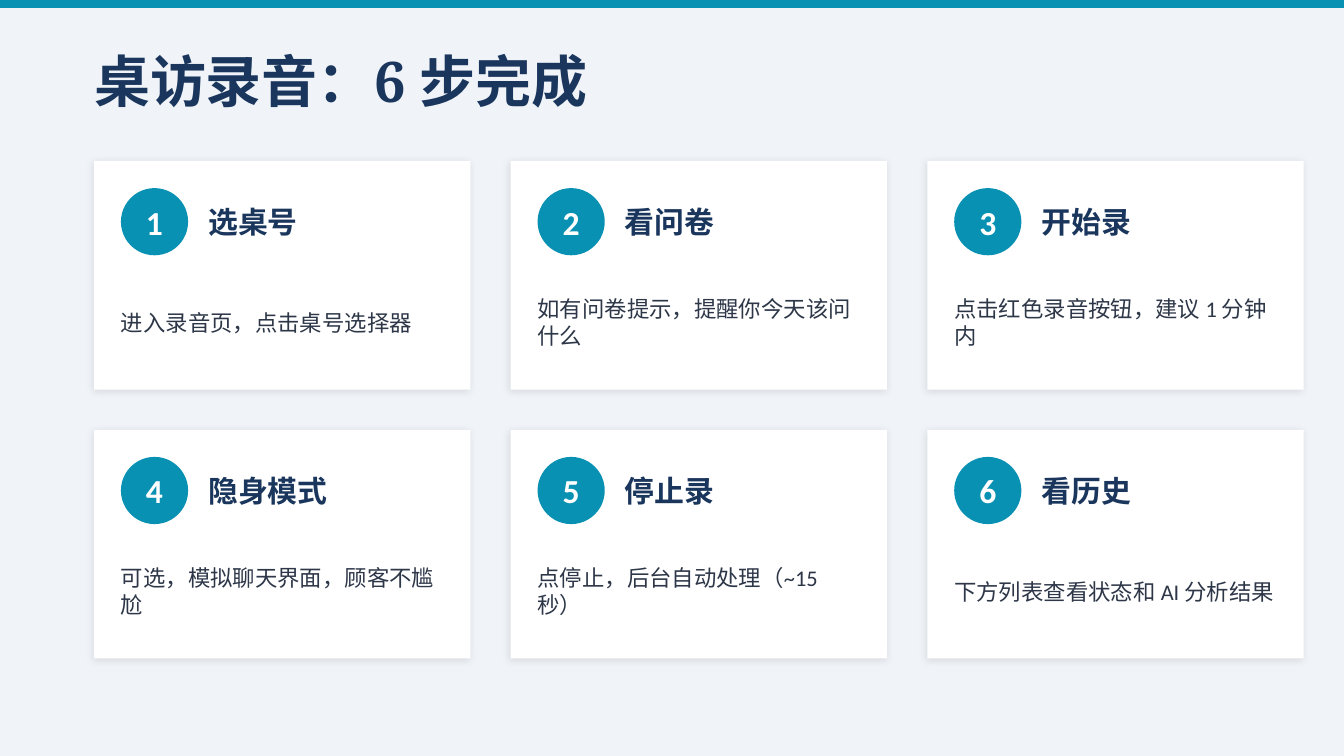
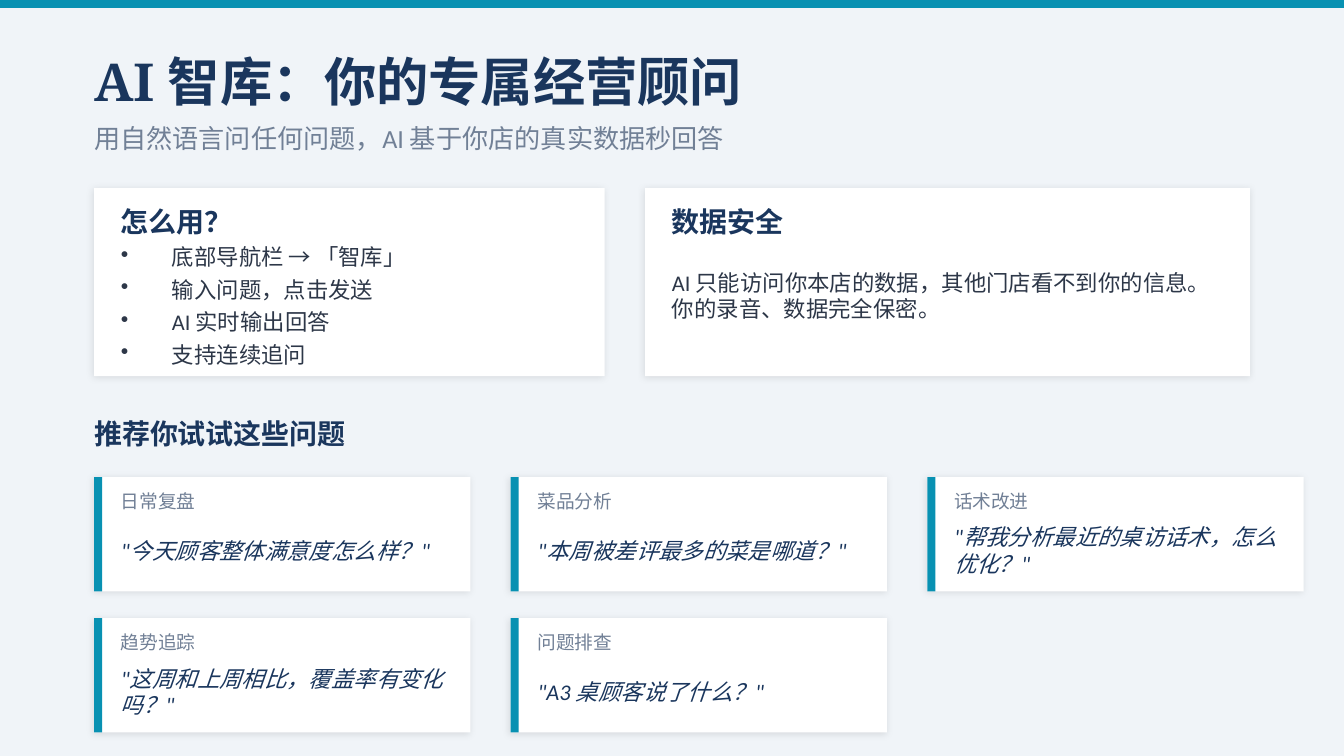
from dataclasses import dataclass
from typing import Iterator, Sequence

from lxml.etree import SubElement
from pptx import Presentation
from pptx.dml.color import RGBColor
from pptx.enum.shapes import MSO_SHAPE as Preset
from pptx.enum.text import MSO_ANCHOR as Anchor, PP_ALIGN as Align
from pptx.oxml.ns import qn
from pptx.shapes.autoshape import Shape
from pptx.slide import Slide
from pptx.util import Inches, Length, Pt

TEAL, NAVY, INK = "0891B2", "1A365D", "2D3748"
GRAY, WHITE, MIST, BLACK = "718096", "FFFFFF", "F0F4F8", "000000"
SERIF, SANS = "Noto Serif", "Calibri"
MARGIN, PADDING, COLUMNS = 0.7, 0.2, 3
CARD_WIDTH, CARD_GAP = 2.8, 0.3
TEXT_WIDTH = 8.6


@dataclass(frozen=True)
class Box:
    """A rectangle in inches."""

    left: float
    top: float
    width: float
    height: float

    def lengths(self) -> list[Length]:
        """Return the four measures as lengths."""
        return [Inches(value) for value in (self.left, self.top, self.width, self.height)]

    def inside(self, left: float, top: float, width: float, height: float) -> "Box":
        """Return a box placed relative to this one."""
        return Box(self.left + left, self.top + top, width, height)


@dataclass(frozen=True)
class Style:
    """The look of a piece of text."""

    size: float
    color: str
    name: str = SANS
    bold: bool = False
    italic: bool = False
    align: Align = Align.LEFT


@dataclass(frozen=True)
class Step:
    """One numbered step of the recording guide."""

    name: str
    detail: str


@dataclass(frozen=True)
class Question:
    """A suggested question and its topic."""

    topic: str
    wording: str


TITLE = Style(30, NAVY, SERIF, bold=True)
LONG_TITLE = Style(28, NAVY, SERIF, bold=True)
SUBTITLE = Style(14, GRAY)
HEADING = Style(15, NAVY, bold=True)
STEP_NAME = Style(16, NAVY, SERIF, bold=True)
STEP_NUMBER = Style(18, WHITE, bold=True, align=Align.CENTER)
BODY = Style(12, INK)
TOPIC = Style(10, GRAY)
QUOTE = Style(12, NAVY, italic=True)

STEPS = (
    Step("选桌号", "进入录音页，点击桌号选择器"),
    Step("看问卷", "如有问卷提示，提醒你今天该问什么"),
    Step("开始录", "点击红色录音按钮，建议 1 分钟内"),
    Step("隐身模式", "可选，模拟聊天界面，顾客不尴尬"),
    Step("停止录", "点停止，后台自动处理（~15 秒）"),
    Step("看历史", "下方列表查看状态和 AI 分析结果"),
)
USAGE = ("底部导航栏 → 「智库」", "输入问题，点击发送", "AI 实时输出回答", "支持连续追问")
SECURITY = ("AI 只能访问你本店的数据，其他门店看不到你的信息。你的录音、数据完全保密。",)
QUESTIONS = (
    Question("日常复盘", '"今天顾客整体满意度怎么样？"'),
    Question("菜品分析", '"本周被差评最多的菜是哪道？"'),
    Question("话术改进", '"帮我分析最近的桌访话术，怎么优化？"'),
    Question("趋势追踪", '"这周和上周相比，覆盖率有变化吗？"'),
    Question("问题排查", '"A3 桌顾客说了什么？"'),
)


def rgb(color: str) -> RGBColor:
    """Turn a hex string into a colour."""
    return RGBColor.from_string(color)


def add_bullet(para) -> None:
    """Give a paragraph a bullet, a hanging indent and space after."""
    para.space_after = Pt(3)
    properties = para._p.get_or_add_pPr()
    indent = Inches(0.38)
    properties.set("marL", str(indent))
    properties.set("indent", str(-indent))
    SubElement(properties, qn("a:buSzPct"), val="100000")
    SubElement(properties, qn("a:buChar"), char="•")


def add_text(page: Slide, box: Box, style: Style, *lines: str, bulleted: bool = False) -> None:
    """Add a text box with one paragraph for each line."""
    frame = page.shapes.add_textbox(*box.lengths()).text_frame
    layout = {"word_wrap": True, "vertical_anchor": Anchor.MIDDLE, "margin_left": 0,
              "margin_top": 0, "margin_right": 0, "margin_bottom": 0}
    for name, value in layout.items():
        setattr(frame, name, value)
    look = {"size": Pt(style.size), "name": style.name,
            "bold": style.bold, "italic": style.italic}
    for index, line in enumerate(lines):
        para = frame.add_paragraph() if index else frame.paragraphs[0]
        para.alignment = style.align
        if bulleted:
            add_bullet(para)
        span = para.add_run()
        span.text = line
        for name, value in look.items():
            setattr(span.font, name, value)
        span.font.color.rgb = rgb(style.color)


def add_block(page: Slide, box: Box, color: str, preset: Preset = Preset.RECTANGLE) -> Shape:
    """Add a plain filled shape without outline."""
    shape = page.shapes.add_shape(preset, *box.lengths())
    shape.shadow.inherit = False
    shape.fill.solid()
    shape.fill.fore_color.rgb = rgb(color)
    shape.line.fill.background()
    return shape


def add_card(page: Slide, box: Box) -> None:
    """Add a white card with a soft shadow."""
    card = add_block(page, box, WHITE)
    effects = card._element.spPr.find(qn("a:effectLst"))
    shadow = SubElement(effects, qn("a:outerShdw"), blurRad=str(Pt(4)), dist=str(Pt(1)),
                        dir=str(135 * 60000), algn="bl", rotWithShape="0")
    tint = SubElement(shadow, qn("a:srgbClr"), val=BLACK)
    SubElement(tint, qn("a:alpha"), val="10000")


def card_grid(count: int, top: float, height: float, gap: float) -> Iterator[Box]:
    """Yield card boxes row by row."""
    for index in range(count):
        row, column = divmod(index, COLUMNS)
        yield Box(MARGIN + column * (CARD_WIDTH + CARD_GAP), top + row * (height + gap),
                  CARD_WIDTH, height)


def add_page(deck, title: str, style: Style) -> Slide:
    """Add a page with background, top band and title."""
    page = deck.slides.add_slide(deck.slide_layouts[6])
    page.background.fill.solid()
    page.background.fill.fore_color.rgb = rgb(MIST)
    add_block(page, Box(0, 0, 10, 0.06), TEAL)
    add_text(page, Box(MARGIN, 0.3, TEXT_WIDTH, 0.6), style, title)
    return page


def add_step(page: Slide, box: Box, number: int, step: Step) -> None:
    """Draw one step card."""
    badge = box.inside(PADDING, 0.2, 0.5, 0.5)
    add_card(page, box)
    add_block(page, badge, TEAL, Preset.OVAL)
    add_text(page, badge, STEP_NUMBER, str(number))
    add_text(page, box.inside(0.85, 0.25, 1.7, 0.4), STEP_NAME, step.name)
    add_text(page, box.inside(PADDING, 0.9, 2.4, 0.6), BODY, step.detail)


def add_panel(page: Slide, box: Box, heading: str, lines: Sequence[str],
              text_height: float, bulleted: bool = False) -> None:
    """Draw a card with a heading and body text."""
    add_card(page, box)
    width = box.width - 2 * PADDING
    add_text(page, box.inside(PADDING, 0.1, width, 0.3), HEADING, heading)
    add_text(page, box.inside(PADDING, 0.45, width, text_height), BODY, *lines, bulleted=bulleted)


def add_question(page: Slide, box: Box, question: Question) -> None:
    """Draw one question card with its accent bar."""
    add_card(page, box)
    add_block(page, box.inside(0, 0, 0.06, box.height), TEAL)
    add_text(page, box.inside(PADDING, 0.05, 2.5, 0.25), TOPIC, question.topic)
    add_text(page, box.inside(PADDING, 0.32, 2.5, 0.45), QUOTE, question.wording)


def build_recording_page(deck) -> None:
    """Build the six-step recording guide."""
    page = add_page(deck, "桌访录音：6 步完成", TITLE)
    boxes = card_grid(len(STEPS), top=1.2, height=1.7, gap=0.3)
    for number, (box, step) in enumerate(zip(boxes, STEPS), start=1):
        add_step(page, box, number, step)


def build_advisor_page(deck) -> None:
    """Build the advisor page with usage, security and questions."""
    page = add_page(deck, "AI 智库：你的专属经营顾问", LONG_TITLE)
    add_text(page, Box(MARGIN, 0.85, TEXT_WIDTH, 0.35), SUBTITLE,
             "用自然语言问任何问题，AI 基于你店的真实数据秒回答")
    add_panel(page, Box(MARGIN, 1.4, 3.8, 1.4), "怎么用？", USAGE, 0.85, bulleted=True)
    add_panel(page, Box(4.8, 1.4, 4.5, 1.4), "数据安全", SECURITY, 0.7)
    add_text(page, Box(MARGIN, 3.05, TEXT_WIDTH, 0.35), HEADING, "推荐你试试这些问题")
    boxes = card_grid(len(QUESTIONS), top=3.55, height=0.85, gap=0.2)
    for box, question in zip(boxes, QUESTIONS):
        add_question(page, box, question)


def main() -> None:
    """Build and save the deck at a ratio of 16 to 9."""
    deck = Presentation()
    deck.slide_width = Inches(10)
    deck.slide_height = Inches(10 * 9 / 16)
    build_recording_page(deck)
    build_advisor_page(deck)
    deck.save("out.pptx")


if __name__ == "__main__":
    main()
